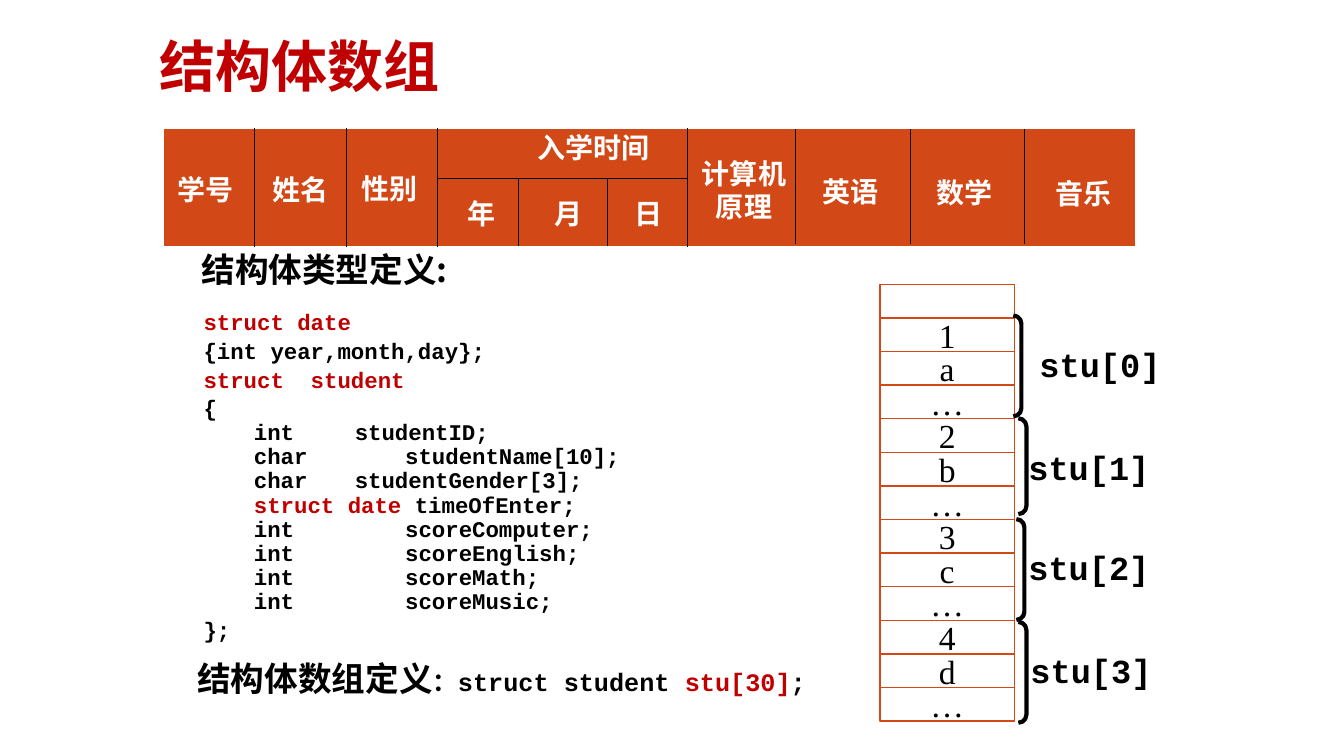
from lxml.etree import SubElement
from pptx import Presentation
from pptx.dml.color import RGBColor
from pptx.enum.shapes import MSO_CONNECTOR, MSO_SHAPE
from pptx.enum.text import MSO_ANCHOR, PP_ALIGN
from pptx.oxml.ns import qn
from pptx.util import Inches, Pt

RED, BLACK, WHITE, ORANGE = "C00000", "000000", "FFFFFF", "D34817"
CHINESE, CODE, SERIF = "Noto Sans CJK SC", "Courier New", "Times New Roman"

HEADINGS = [
    ("学号", 1.59, 1.66, 0.9), ("姓名", 2.6, 1.66, 0.77), ("性别", 3.48, 1.65, 0.77),
    ("入学时间", 5.23, 1.25, 1.32), ("年", 4.54, 1.9, 0.48), ("月", 5.4, 1.9, 0.48),
    ("日", 6.19, 1.9, 0.48), ("计算机\n原理", 6.86, 1.5, 1.04), ("英语", 8.05, 1.68, 0.77),
    ("数学", 9.18, 1.69, 0.77), ("音乐", 10.36, 1.7, 0.77),
]
DIVIDERS = (
    [(x, 1.27, x, 2.45) for x in (2.52, 3.44, 4.34, 6.82)]
    + [(x, 1.28, x, 2.42) for x in (7.89, 9.03, 10.16)]
    + [(x, 1.77, x, 2.44) for x in (5.14, 6.03)]
    + [(4.34, 1.77, 6.82, 1.77)]
)
NARROW, WIDE = (0.5, 1.5), (0.5, 2.0)
CODE_LINES = [
    ([("struct date", RED)], None),
    ([("{int year,month,day};", BLACK)], None),
    ([("struct  student", RED)], None),
    ([("{", BLACK)], None),
    ([("\tint\tstudentID;", BLACK)], NARROW),
    ([("\tchar\tstudentName[10];", BLACK)], WIDE),
    ([("\tchar\tstudentGender[3];", BLACK)], NARROW),
    ([("\t", BLACK), ("struct date ", RED), ("timeOfEnter;", BLACK)], NARROW),
    ([("\tint\tscoreComputer;", BLACK)], WIDE),
    ([("\tint\tscoreEnglish;", BLACK)], WIDE),
    ([("\tint\tscoreMath;", BLACK)], WIDE),
    ([("\tint\tscoreMusic;", BLACK)], WIDE),
    ([("};", BLACK)], None),
]
CELLS = ["", "1", "a", "…", "2", "b", "…", "3", "c", "…", "4", "d", "…"]
BRACKETS = [(10.05, 3.13, 1, 10.21), (10.1, 4.15, 0.95, 10.1),
            (10.08, 5.15, 1, 10.1), (10.1, 6.17, 1, 10.12)]


def color(value):
    """Turn a hex string into a colour."""
    return RGBColor.from_string(value)


def style(span, size, font, shade, bold=True, east=CHINESE):
    """Format one run, with its Latin and East Asian fonts."""
    span.font.size = Pt(size)
    span.font.name = font
    span.font.bold = bold
    span.font.color.rgb = color(shade)
    SubElement(span.font._element, qn("a:ea")).set("typeface", east)


def add_span(para, text, size, font, shade):
    """Append a formatted run to a paragraph."""
    span = para.add_run()
    span.text = text
    style(span, size, font, shade)


def add_box(page, left, top, width, height):
    """Add an empty text box that does not wrap."""
    box = page.shapes.add_textbox(Inches(left), Inches(top), Inches(width), Inches(height))
    box.text_frame.word_wrap = False
    return box


def add_label(page, text, at, size, font, shade, align=PP_ALIGN.CENTER):
    """Add a bold text box in one style."""
    frame = add_box(page, *at).text_frame
    frame.text = text
    for para in frame.paragraphs:
        para.alignment = align
        style(para.runs[0], size, font, shade)


def add_shape(page, kind, at, fill, line, weight):
    """Add a preset shape without shadow."""
    shape = page.shapes.add_shape(kind, *map(Inches, at))
    shape.shadow.inherit = False
    if fill:
        shape.fill.solid()
        shape.fill.fore_color.rgb = color(fill)
    else:
        shape.fill.background()
    shape.line.color.rgb = color(line)
    shape.line.width = Pt(weight)
    return shape


def add_line(page, ends):
    """Add a thin black divider."""
    line = page.shapes.add_connector(MSO_CONNECTOR.STRAIGHT, *map(Inches, ends))
    line.line.color.rgb = color(BLACK)
    line.line.width = Pt(0.75)
    SubElement(line._element.spPr, qn("a:effectLst"))


def add_title(page):
    """Place and format the title."""
    title = page.shapes.title
    title.left, title.top, title.width, title.height = map(Inches, (1.48, 0.39, 9.34, 0.6))
    title.text_frame.text = "结构体数组"
    title.text_frame.vertical_anchor = MSO_ANCHOR.MIDDLE
    para = title.text_frame.paragraphs[0]
    para.alignment = PP_ALIGN.LEFT
    para.line_spacing = 0.9
    style(para.runs[0], 40, "Arial", RED)


def add_header(page):
    """Draw the orange record header."""
    add_shape(page, MSO_SHAPE.RECTANGLE, (1.62, 1.27, 9.65, 1.18), ORANGE, WHITE, 1.5)
    for ends in DIVIDERS:
        add_line(page, ends)
    for text, left, top, width in HEADINGS:
        height = 0.77 if "\n" in text else 0.44
        add_label(page, text, (left, top, width, height), 20, SERIF, WHITE)


def add_code(page):
    """Write the structure definition with aligned members."""
    frame = add_box(page, 1.92, 2.99, 4.38, 3.28).text_frame
    for index, (spans, stops) in enumerate(CODE_LINES):
        para = frame.add_paragraph() if index else frame.paragraphs[0]
        para.line_spacing = 0.9 if stops else 1.07
        if stops:
            tabs = SubElement(para._p.get_or_add_pPr(), qn("a:tabLst"))
            for stop in stops:
                SubElement(tabs, qn("a:tab"), pos=str(Inches(stop)), algn="l")
        for text, shade in spans:
            add_span(para, text, 16, CODE, shade)


def add_array_definition(page):
    """Write the array definition line."""
    para = add_box(page, 1.86, 6.48, 6.44, 0.5).text_frame.paragraphs[0]
    add_span(para, "结构体数组定义", 24, CODE, BLACK)
    for text, shade in (("：struct student ", BLACK), ("stu[30]", RED), (";", BLACK)):
        add_span(para, text, 18, CODE, shade)


def add_memory(page):
    """Draw the memory column with a bracket for each element."""
    pitch = 1 / 3
    for index, text in enumerate(CELLS):
        at = (8.73, 2.82 + index * pitch, 1.33, pitch)
        cell = add_shape(page, MSO_SHAPE.RECTANGLE, at, WHITE, ORANGE, 1)
        if text:
            frame = cell.text_frame
            frame.word_wrap = False
            frame.vertical_anchor = MSO_ANCHOR.MIDDLE
            frame.text = text
            frame.paragraphs[0].alignment = PP_ALIGN.CENTER
            style(frame.paragraphs[0].runs[0], 24, SERIF, BLACK, False, SERIF)
    for index, (left, top, height, label_left) in enumerate(BRACKETS):
        bracket = add_shape(page, MSO_SHAPE.LEFT_BRACKET, (left, top, 0.08, height), None, BLACK, 3)
        bracket.rotation = 180
        bracket.adjustments[0] = 1
        add_label(page, f"stu[{index}]", (label_left, top + 0.23, 1.4, 0.5), 24, CODE, BLACK)


def main():
    """Build and save the slide."""
    deck = Presentation()
    deck.slide_width, deck.slide_height = Inches(13.33), Inches(7.5)
    page = deck.slides.add_slide(deck.slide_layouts[5])
    add_title(page)
    add_header(page)
    add_label(page, "结构体类型定义:", (1.9, 2.42, 2.74, 0.5), 24, CHINESE, BLACK, PP_ALIGN.LEFT)
    add_code(page)
    add_memory(page)
    add_array_definition(page)
    deck.save("out.pptx")


if __name__ == "__main__":
    main()
